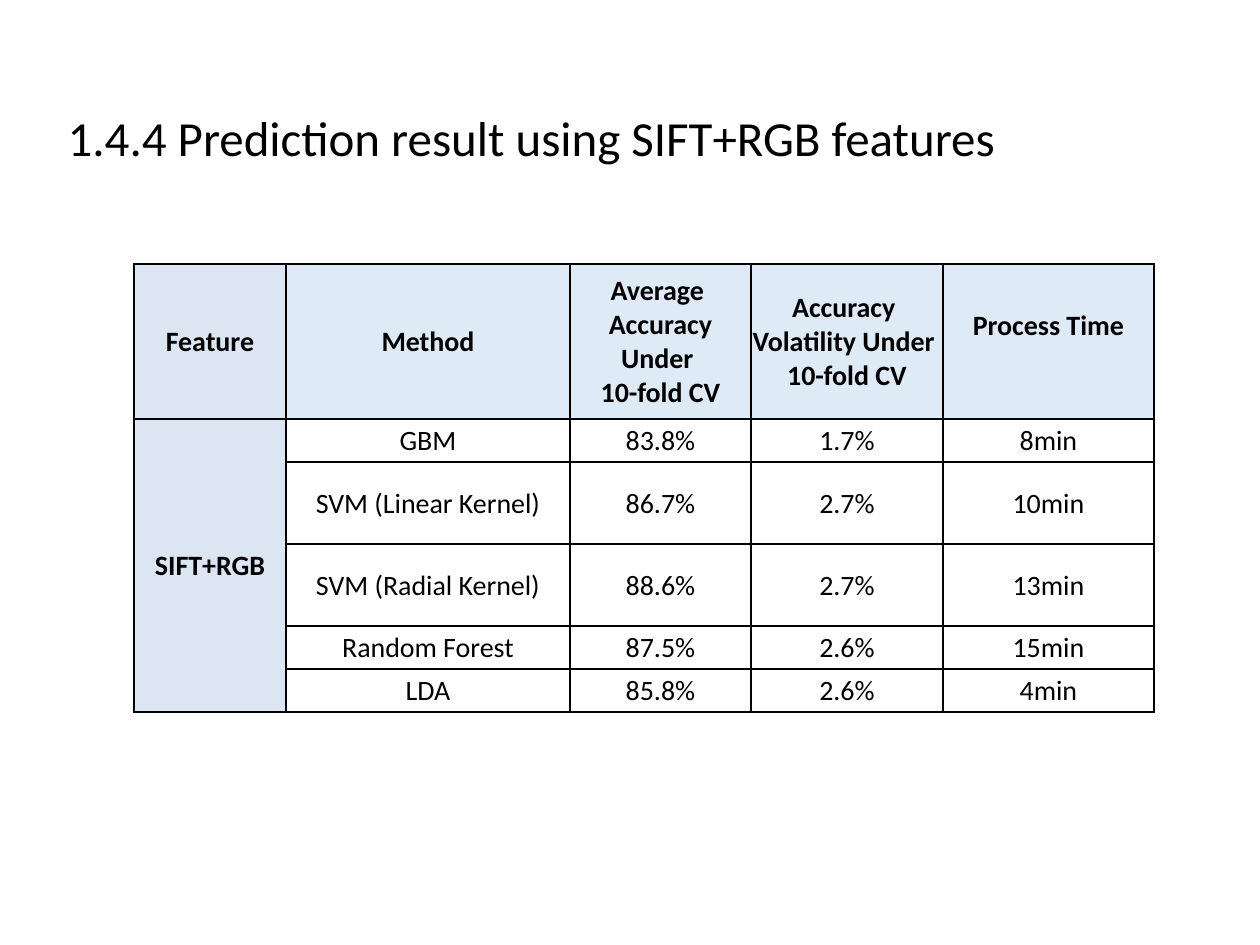
"""Build a slide with a table of SIFT+RGB prediction results."""

from dataclasses import dataclass

from lxml.etree import SubElement
from pptx import Presentation
from pptx.dml.color import RGBColor
from pptx.enum.text import MSO_ANCHOR, MSO_AUTO_SIZE, PP_ALIGN
from pptx.oxml.ns import qn
from pptx.util import Emu, Inches, Pt

PX_PER_INCH = 126


@dataclass(frozen=True)
class Theme:
    font: str = "Calibri"
    text: str = "000000"
    border: str = "000000"
    feature_fill: str = "DCE6F2"
    header_fill: str = "DEEBF7"
    title_size: int = 28
    cell_size: int = 16
    border_width: int = 1


@dataclass(frozen=True)
class Result:
    method: str
    accuracy: str
    volatility: str
    time: str
    height: int


THEME = Theme()
TITLE = "1.4.4 Prediction result using SIFT+RGB features"
HEADERS = (
    "Feature",
    "Method",
    "Average \nAccuracy Under \n10-fold CV",
    "Accuracy \nVolatility Under \n10-fold CV",
    "Process Time",
)
FEATURE = "SIFT+RGB"
RESULTS = (
    Result("GBM", "83.8%", "1.7%", "8min", 43),
    Result("SVM (Linear Kernel)", "86.7%", "2.7%", "10min", 82),
    Result("SVM (Radial Kernel)", "88.6%", "2.7%", "13min", 82),
    Result("Random Forest", "87.5%", "2.6%", "15min", 43),
    Result("LDA", "85.8%", "2.6%", "4min", 43),
)
COLUMN_WIDTHS = (152, 284, 181, 192, 211)
HEADER_HEIGHT = 155
TIME_HEADER_LIFT = 32


def px(n: int) -> Emu:
    return Inches(n / PX_PER_INCH)


def style_paragraph(p, size: int, align: PP_ALIGN, bold: bool = False) -> None:
    p.alignment = align
    p.font.name = THEME.font
    p.font.size = Pt(size)
    p.font.bold = bold
    p.font.color.rgb = RGBColor.from_string(THEME.text)


def add_borders(cell) -> None:
    tc_pr = cell._tc.get_or_add_tcPr()
    for i, side in enumerate(("a:lnL", "a:lnR", "a:lnT", "a:lnB")):
        ln = SubElement(tc_pr, qn(side), w=str(Pt(THEME.border_width)))
        fill = SubElement(ln, qn("a:solidFill"))
        SubElement(fill, qn("a:srgbClr"), val=THEME.border)
        tc_pr.remove(ln)
        tc_pr.insert(i, ln)


def format_cell(cell, text: str, fill: str = "", bold: bool = False) -> None:
    cell.text = text
    cell.vertical_anchor = MSO_ANCHOR.MIDDLE
    cell.margin_left = cell.margin_right = cell.margin_top = px(1)
    cell.margin_bottom = 0
    for p in cell.text_frame.paragraphs:
        style_paragraph(p, THEME.cell_size, PP_ALIGN.CENTER, bold)
    if fill:
        cell.fill.solid()
        cell.fill.fore_color.rgb = RGBColor.from_string(fill)
    else:
        cell.fill.background()
    add_borders(cell)


def add_title(s) -> None:
    sp = s.shapes.title
    sp.left, sp.top, sp.width, sp.height = (px(n) for n in (55, 76, 1179, 130))
    tf = sp.text_frame
    tf.text = TITLE
    tf.word_wrap = True
    tf.auto_size = MSO_AUTO_SIZE.NONE
    tf.vertical_anchor = MSO_ANCHOR.MIDDLE
    p = tf.paragraphs[0]
    p.line_spacing = 0.9
    style_paragraph(p, THEME.title_size, PP_ALIGN.LEFT)


def add_results_table(s) -> None:
    heights = (HEADER_HEIGHT, *(r.height for r in RESULTS))
    table = s.shapes.add_table(
        len(heights), len(COLUMN_WIDTHS), px(134), px(264),
        px(sum(COLUMN_WIDTHS)), px(sum(heights)),
    ).table
    table.horz_banding = False
    for column, width in zip(table.columns, COLUMN_WIDTHS):
        column.width = px(width)
    for row, height in zip(table.rows, heights):
        row.height = px(height)

    for i, header in enumerate(HEADERS):
        fill = THEME.header_fill if i else THEME.feature_fill
        format_cell(table.cell(0, i), header, fill, True)
    table.cell(0, len(HEADERS) - 1).margin_bottom = px(TIME_HEADER_LIFT)

    for i, r in enumerate(RESULTS, start=1):
        label = FEATURE if i == 1 else ""
        format_cell(table.cell(i, 0), label, THEME.feature_fill, True)
        values = (r.method, r.accuracy, r.volatility, r.time)
        for j, value in enumerate(values, start=1):
            format_cell(table.cell(i, j), value)
    table.cell(1, 0).merge(table.cell(len(RESULTS), 0))


def main() -> None:
    prs = Presentation()
    prs.slide_width, prs.slide_height = Inches(10), Inches(7.5)
    s = prs.slides.add_slide(prs.slide_layouts[5])
    add_title(s)
    add_results_table(s)
    prs.save("out.pptx")


if __name__ == "__main__":
    main()
